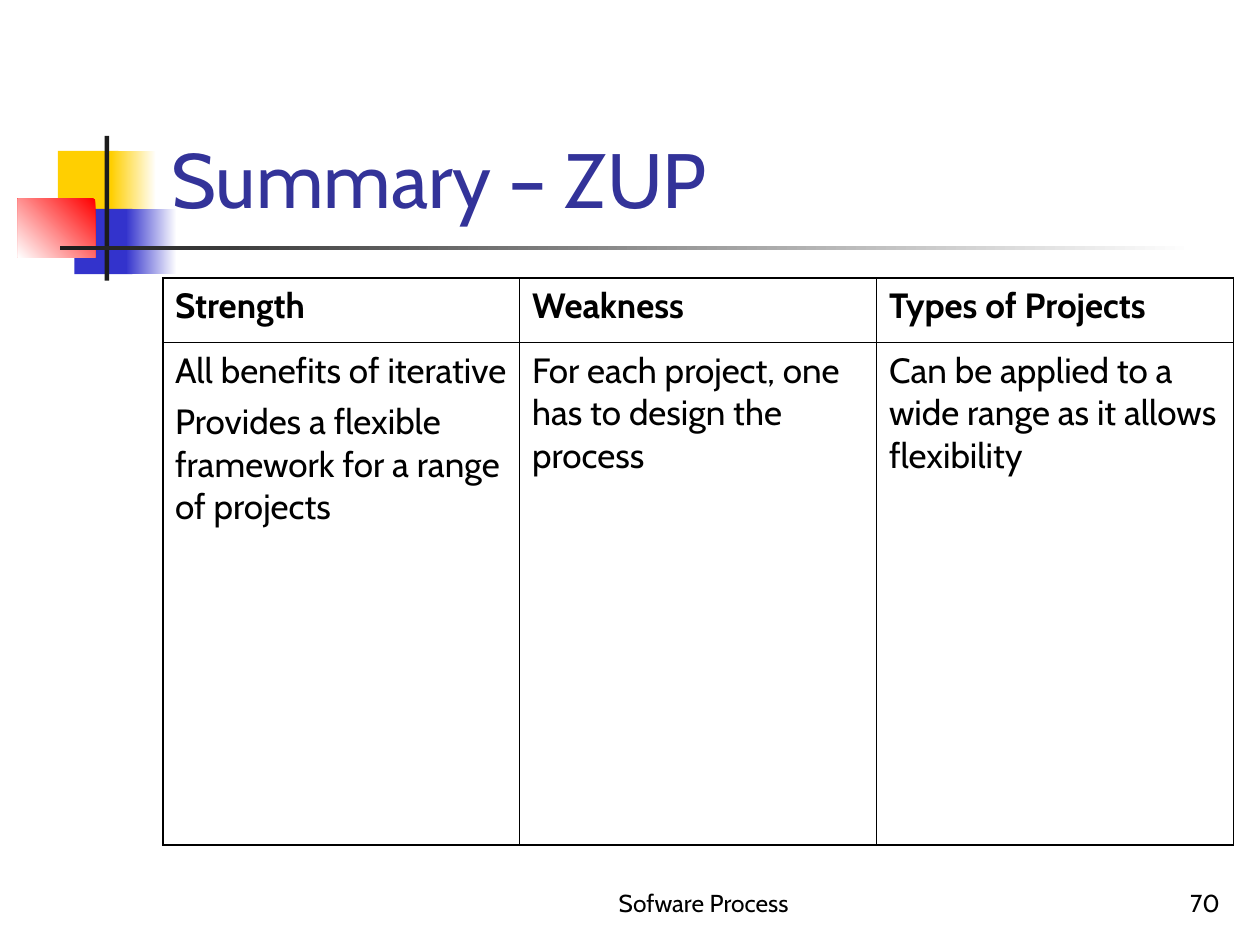
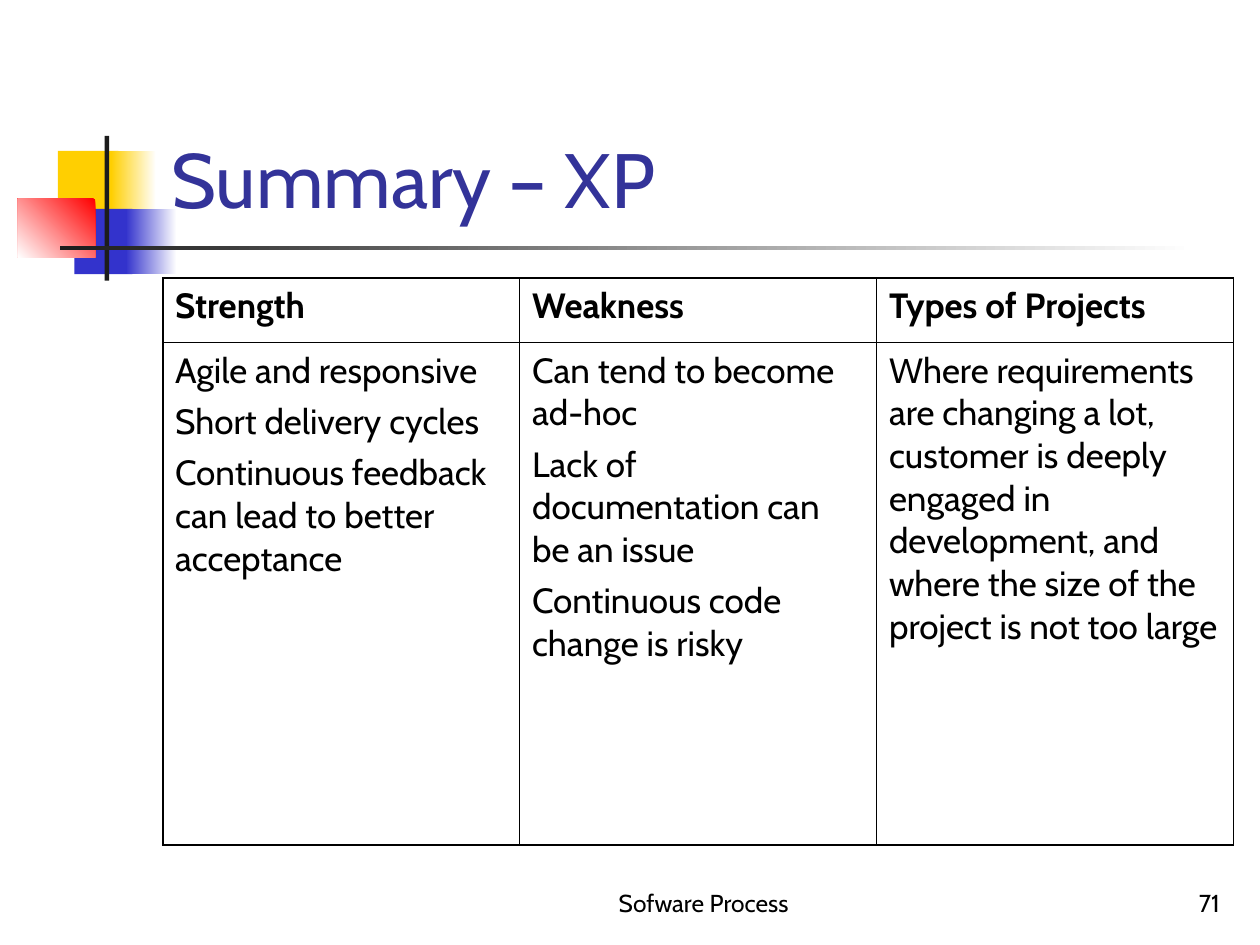
from collections import namedtuple

from lxml import etree
from pptx import Presentation
from pptx import util as u
from pptx.dml.color import RGBColor
from pptx.enum import shapes, text
from pptx.oxml import ns

FONT = "Cabin"
BLACK = RGBColor(0x00, 0x00, 0x00)
WHITE = RGBColor(0xFF, 0xFF, 0xFF)
YELLOW = RGBColor(0xFF, 0xCF, 0x01)
BLUE = RGBColor(0x33, 0x33, 0xCC)
RED = RGBColor(0xFF, 0x00, 0x00)
CHARCOAL = RGBColor(0x1C, 0x1C, 0x1C)
TITLE_BLUE = RGBColor(0x33, 0x33, 0x99)

# Boxes in centimetres
Box = namedtuple("Box", "left top width height")
EMBLEM = Box(0.36, 2.74, 23.72, 2.92)
TITLE = Box(3.2, 0.58, 21.64, 4.06)
SUMMARY = Box(3.28, 5.61, 21.59, 11.43)
FOOTER = Box(10.16, 17.35, 14.68, 1.27)

HEADER_HEIGHT = 1.3
OUTER_LINE = u.Pt(1.08)
INNER_LINE = u.Pt(0.45)
HEADINGS = ["Strength", "Weakness", "Types of Projects"]

SUMMARIES = [
    ("Summary – ZUP", 70, [
        ["All benefits of iterative",
         "Provides a flexible framework for a range of projects"],
        ["For each project, one has to design the process"],
        ["Can be applied to a wide range as it allows flexibility"],
    ]),
    ("Summary – XP", 71, [
        ["Agile and responsive",
         "Short delivery cycles",
         "Continuous feedback can lead to better acceptance"],
        ["Can tend to become ad-hoc",
         "Lack of documentation can be an issue",
         "Continuous code change is risky"],
        ["Where requirements are changing a lot, customer is deeply engaged "
         "in development, and where the size of the project is not too large"],
    ]),
]


def lengths(box):
    return [u.Cm(value) for value in box]


def add_run(paragraph, words, size, color=BLACK, bold=False):
    run = paragraph.add_run()
    run.text = words
    run.font.name = FONT
    run.font.size = u.Pt(size)
    run.font.bold = bold
    run.font.color.rgb = color


def add_label(slide, box, words, size, color=BLACK, align=text.PP_ALIGN.LEFT):
    frame = slide.shapes.add_textbox(*lengths(box)).text_frame
    frame.word_wrap = True
    frame.vertical_anchor = text.MSO_ANCHOR.BOTTOM
    frame.paragraphs[0].alignment = align
    add_run(frame.paragraphs[0], words, size, color)


def add_block(slide, box, start, end=None, angle=180):
    """Rectangle in one colour, or fading from start to end."""
    block = slide.shapes.add_shape(shapes.MSO_SHAPE.RECTANGLE, *lengths(box))
    block.shadow.inherit = False
    block.line.fill.background()
    if end is None:
        block.fill.solid()
        block.fill.fore_color.rgb = start
        return
    block.fill.gradient()
    block.fill.gradient_angle = angle
    for stop, color in zip(block.fill.gradient_stops, (start, end)):
        stop.color.rgb = color


def add_emblem(slide, box):
    def place(left, top, width, height):
        return Box(box.left + left, box.top + top, width, height)

    # Coloured squares
    add_block(slide, place(0.81, 0.3, 1.22, 1.32), YELLOW)
    add_block(slide, place(1.88, 0.3, 0.91, 1.32), WHITE, YELLOW)
    add_block(slide, place(1.14, 1.47, 1.17, 1.32), BLUE)
    add_block(slide, place(2.18, 1.47, 1.02, 1.32), WHITE, BLUE)
    add_block(slide, place(0, 1.27, 1.56, 1.18), RED, WHITE, angle=225)
    # Upright bar and title rule
    add_block(slide, place(1.75, 0, 0.09, box.height), CHARCOAL)
    add_block(slide, place(0.86, 2.21, box.width - 0.86, 0.09), WHITE, CHARCOAL)


def add_footer(slide, box, page):
    name_box = box._replace(width=8.05)
    page_box = box._replace(left=box.left + 9.4, width=box.width - 9.4)
    add_label(slide, name_box, "Sofware Process", 14, align=text.PP_ALIGN.CENTER)
    add_label(slide, page_box, str(page), 14, align=text.PP_ALIGN.RIGHT)


def set_borders(cell, outer_sides):
    properties = cell._tc.get_or_add_tcPr()
    for side in "LRTB":
        width = OUTER_LINE if side in outer_sides else INNER_LINE
        line = etree.SubElement(properties, ns.qn(f"a:ln{side}"), w=str(width))
        fill = etree.SubElement(line, ns.qn("a:solidFill"))
        etree.SubElement(fill, ns.qn("a:srgbClr"), val=str(BLACK))


def fill_cell(cell, entries, bold):
    frame = cell.text_frame
    cell.margin_left = cell.margin_right = u.Cm(0.25)
    cell.margin_top = cell.margin_bottom = u.Cm(0.13)
    for index, entry in enumerate(entries):
        paragraph = frame.add_paragraph() if index else frame.paragraphs[0]
        paragraph.space_before = u.Pt(5)
        add_run(paragraph, entry, 20, bold=bold)


def add_summary(slide, box, findings):
    rows = [[[heading] for heading in HEADINGS], findings]
    last = len(HEADINGS) - 1
    table = slide.shapes.add_table(len(rows), len(HEADINGS), *lengths(box)).table
    table.first_row = table.horz_banding = False
    for column in table.columns:
        column.width = u.Cm(box.width / len(HEADINGS))
    table.rows[0].height = u.Cm(HEADER_HEIGHT)
    table.rows[1].height = u.Cm(box.height - HEADER_HEIGHT)
    for r, row in enumerate(rows):
        for c, entries in enumerate(row):
            cell = table.cell(r, c)
            fill_cell(cell, entries, bold=r == 0)
            outer_sides = "TB"[r] + ("L" if c == 0 else "R" if c == last else "")
            set_borders(cell, outer_sides)
            cell.fill.background()


def add_summary_slide(deck, title, page, findings):
    slide = deck.slides.add_slide(deck.slide_layouts[6])
    add_emblem(slide, EMBLEM)
    add_footer(slide, FOOTER, page)
    add_label(slide, TITLE, title, 44, TITLE_BLUE)
    add_summary(slide, SUMMARY, findings)


def main():
    deck = Presentation()
    deck.slide_width, deck.slide_height = u.Cm(25.4), u.Cm(19.05)
    for title, page, findings in SUMMARIES:
        add_summary_slide(deck, title, page, findings)
    deck.save("out.pptx")


if __name__ == "__main__":
    main()
